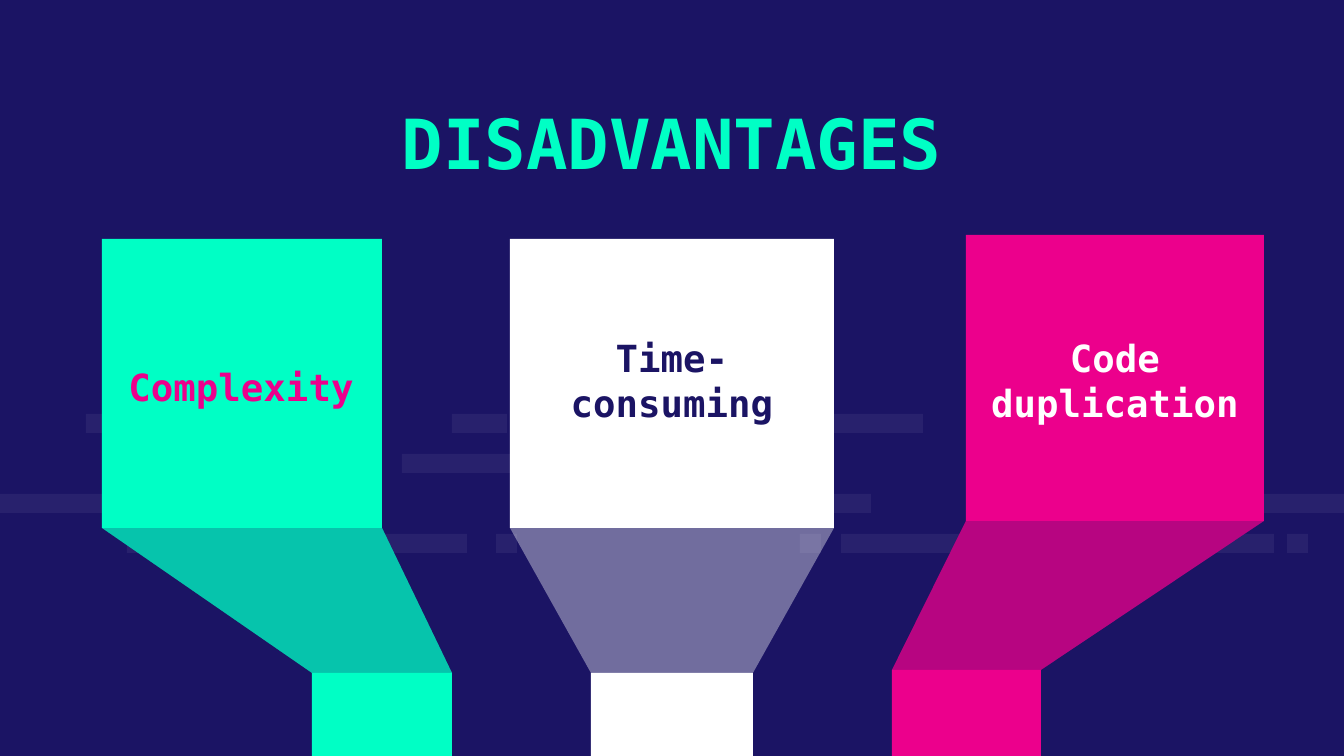
from lxml import etree
from pptx import Presentation, util as u
from pptx.dml.color import RGBColor
from pptx.enum import shapes, text
from pptx.oxml.ns import qn

SCALE = 914400 / 134.4  # EMU per px
FONT = "DejaVu Sans Mono"
NAVY, MINT, PINK, WHITE = "1B1464", "00FFC5", "EC008C", "FFFFFF"

# Code-like bars between the funnels: (left, width) for each row
BAR_TOP, BAR_PITCH, BAR_HEIGHT = 414, 40, 19
BAR_ROWS = [
    [(86, 21), (452, 55), (754, 169)],
    [(402, 131)],
    [(0, 199), (672, 199), (1145, 199)],
    [(127, 21), (169, 298), (496, 21), (800, 21), (841, 433), (1287, 21)],
]

# Box (left, top, right, bottom), neck (left, top, right), colour,
# and the layers (colour, opacity) of the slope between them
FUNNELS = [
    ((510, 239, 834, 528), (591, 673, 753), WHITE, [(WHITE, 38)]),
    ((102, 239, 382, 528), (312, 673, 452), MINT, [(MINT, 100), (NAVY, 25)]),
    ((966, 235, 1264, 521), (892, 670, 1041), PINK, [(PINK, 100), (NAVY, 25)]),
]

LABELS = [
    ("Complexity", (99, 359, 284, 50), PINK),
    ("Time-consuming", (520, 375, 304, 50), NAVY),
    ("Code duplication", (957, 375, 316, 50), WHITE),
]


def px(value):
    return u.Emu(round(value * SCALE))


def rgb(color):
    return RGBColor.from_string(color)


def paint(shape, color, opacity=100):
    shape.shadow.inherit = False
    shape.line.fill.background()
    shape.fill.solid()
    shape.fill.fore_color.rgb = rgb(color)
    if opacity < 100:
        srgb = shape._element.spPr.find(qn("a:solidFill")).find(qn("a:srgbClr"))
        etree.SubElement(srgb, qn("a:alpha"), val=str(opacity * 1000))


def add_block(slide, left, top, width, height, color, opacity=100):
    block = slide.shapes.add_shape(
        shapes.MSO_SHAPE.RECTANGLE, px(left), px(top), px(width), px(height))
    paint(block, color, opacity)


def add_slope(slide, corners, color, opacity):
    builder = slide.shapes.build_freeform(*corners[0], scale=SCALE)
    builder.add_line_segments(corners[1:], close=True)
    paint(builder.convert_to_shape(), color, opacity)


def add_funnel(slide, box, neck, color, layers):
    left, top, right, bottom = box
    neck_left, neck_top, neck_right = neck
    corners = [(neck_left, neck_top), (left, bottom),
               (right, bottom), (neck_right, neck_top)]
    for layer_color, opacity in layers:
        add_slope(slide, corners, layer_color, opacity)
    add_block(slide, neck_left, neck_top, neck_right - neck_left, 756 - neck_top, color)
    add_block(slide, left, top, right - left, bottom - top, color)


def write(holder, words, box, size, color, anchor, bottom_inset):
    """Place a text holder and fill it with one bold centred paragraph."""
    for name, value in zip(("left", "top", "width", "height"), box):
        setattr(holder, name, px(value))
    frame = holder.text_frame
    frame.text = words
    paragraph = frame.paragraphs[0]
    formats = [
        (frame, {"word_wrap": True, "auto_size": text.MSO_AUTO_SIZE.NONE,
                 "vertical_anchor": anchor, "margin_left": px(13),
                 "margin_right": px(13), "margin_top": px(13),
                 "margin_bottom": px(bottom_inset)}),
        (paragraph, {"alignment": text.PP_ALIGN.CENTER, "line_spacing": 1.0,
                     "space_before": u.Pt(0)}),
        (paragraph.runs[0].font, {"name": FONT, "size": u.Pt(size), "bold": True}),
    ]
    for target, values in formats:
        for name, value in values.items():
            setattr(target, name, value)
    paragraph.runs[0].font.color.rgb = rgb(color)


def main():
    deck = Presentation()
    deck.slide_width, deck.slide_height = px(1344), px(756)
    slide = deck.slides.add_slide(deck.slide_layouts[5])
    slide.background.fill.solid()
    slide.background.fill.fore_color.rgb = rgb(NAVY)

    for row, bars in enumerate(BAR_ROWS):
        for left, width in bars:
            add_block(slide, left, BAR_TOP + row * BAR_PITCH, width, BAR_HEIGHT, WHITE, 6)
    write(slide.shapes.title, "DISADVANTAGES", (188, 87, 968, 98), 37, MINT,
          text.MSO_ANCHOR.TOP, 13)
    for funnel in FUNNELS:
        add_funnel(slide, *funnel)
    for words, box, color in LABELS:
        label = slide.shapes.add_textbox(0, 0, 0, 0)
        write(label, words, box, 20, color, text.MSO_ANCHOR.BOTTOM, 0)
    deck.save("out.pptx")


if __name__ == "__main__":
    main()
